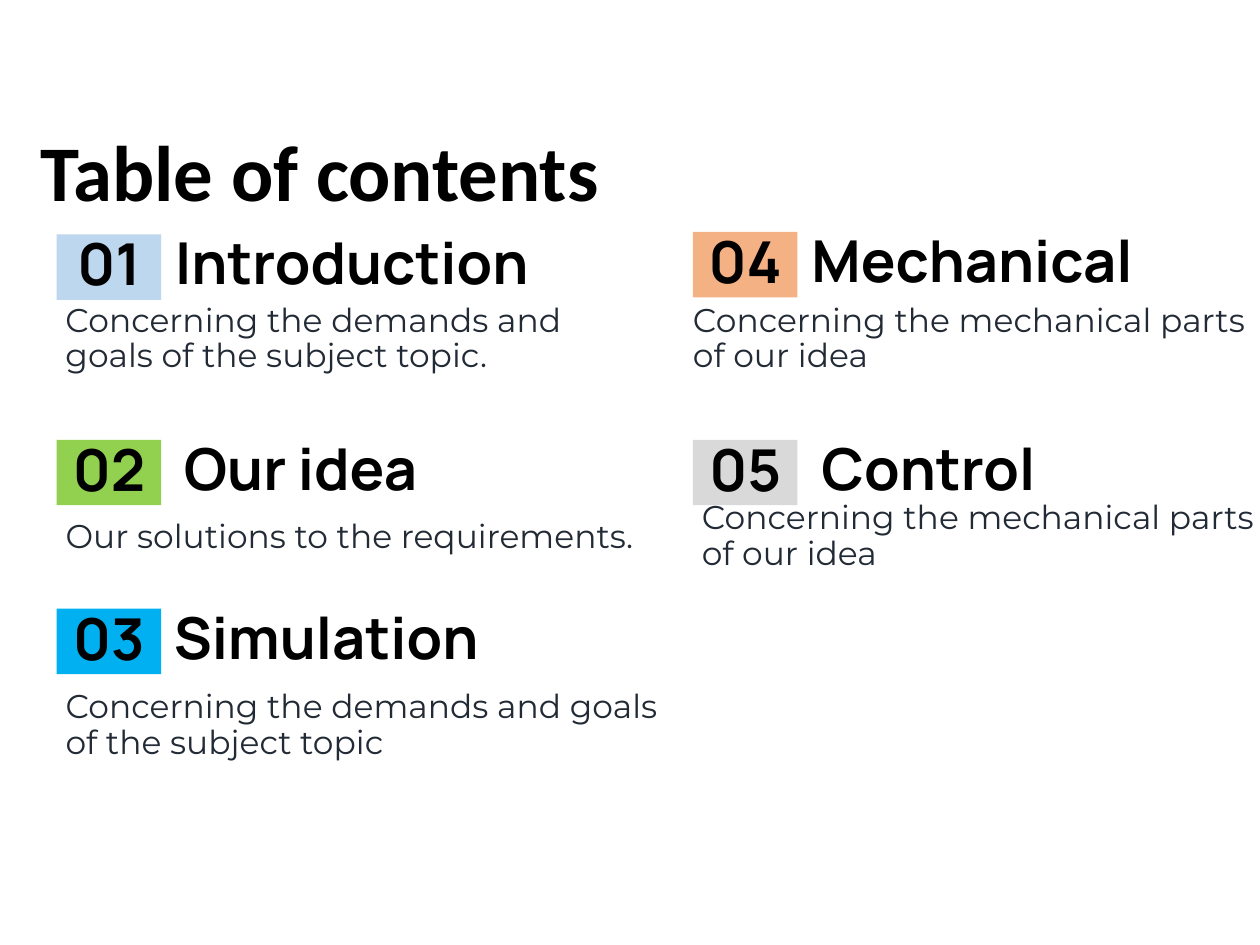
from dataclasses import dataclass

from pptx import Presentation
from pptx.dml.color import RGBColor
from pptx.enum.shapes import MSO_SHAPE
from pptx.enum.text import MSO_ANCHOR, PP_ALIGN
from pptx.util import Inches, Pt

COLUMNS = (0.45, 5.5)
ROWS = (1.86, 3.49, 4.83)
BADGE_WIDTH, BADGE_HEIGHT = 0.83, 0.52
HEADING_DROP, HEADING_HEIGHT = 0.26, 0.31
INSET = 0.07

TITLE = {"name": "Calibri", "size": Pt(45), "bold": True}
HEADING = {"name": "Manrope", "size": Pt(33), "bold": True}
DETAIL = {"name": "Montserrat", "size": Pt(18.8), "bold": False}


@dataclass
class Section:
    """Position offsets are measured in inches from the number badge."""
    column: int
    row: int
    fill: str
    heading: str
    heading_shift: float
    heading_width: float
    detail: str
    detail_shift: tuple
    detail_size: tuple
    rise: float = 0


SECTIONS = (
    Section(0, 0, "BDD7EE", "Introduction", 0.87, 3.63,
            "Concerning the demands and goals of the subject topic.",
            (0, 0.48), (4.64, 0.57)),
    Section(0, 1, "92D050", "Our idea", 0.94, 2.66,
            "Our solutions to the requirements.",
            (0, 0.57), (5.29, 0.47)),
    Section(0, 2, "00B0F0", "Simulation", 0.86, 3.19,
            "Concerning the demands and goals of the subject topic",
            (0, 0.58), (4.98, 0.69)),
    Section(1, 0, "F4B183", "Mechanical", 0.87, 3.18,
            "Concerning the mechanical parts of our idea",
            (-0.07, 0.5), (4.64, 0.57), rise=0.02),
    Section(1, 1, "D9D9D9", "Control", 0.95, 2.66,
            "Concerning the mechanical parts of our idea",
            (0, 0.42), (4.64, 0.57)),
)


def color(value):
    return RGBColor.from_string(value)


def write(shape, text, style, ink="000000", anchor=MSO_ANCHOR.TOP,
          align=PP_ALIGN.LEFT):
    frame = shape.text_frame
    frame.word_wrap = True
    frame.vertical_anchor = anchor
    for side in ("left", "top", "right", "bottom"):
        setattr(frame, f"margin_{side}", Inches(INSET))
    paragraph = frame.paragraphs[0]
    paragraph.alignment = align
    paragraph.line_spacing = 0.9
    run = paragraph.add_run()
    run.text = text
    for attribute, value in style.items():
        setattr(run.font, attribute, value)
    run.font.color.rgb = color(ink)


def add_text(slide, box, text, style, **options):
    write(slide.shapes.add_textbox(*map(Inches, box)), text, style, **options)


def add_badge(slide, left, top, number, fill):
    badge = slide.shapes.add_shape(
        MSO_SHAPE.RECTANGLE,
        *map(Inches, (left, top, BADGE_WIDTH, BADGE_HEIGHT)))
    badge.shadow.inherit = False
    badge.fill.solid()
    badge.fill.fore_color.rgb = color(fill)
    badge.line.fill.background()
    write(badge, f"{number:02}", HEADING,
          anchor=MSO_ANCHOR.MIDDLE, align=PP_ALIGN.CENTER)


def add_section(slide, number, section):
    left, top = COLUMNS[section.column], ROWS[section.row] - section.rise
    add_badge(slide, left, top, number, section.fill)
    add_text(slide, (left + section.heading_shift, top + HEADING_DROP,
                     section.heading_width, HEADING_HEIGHT),
             section.heading, HEADING, anchor=MSO_ANCHOR.BOTTOM)
    shift_x, shift_y = section.detail_shift
    add_text(slide, (left + shift_x, top + shift_y, *section.detail_size),
             section.detail, DETAIL, ink="222A35")


def main():
    deck = Presentation()
    deck.slide_width, deck.slide_height = Inches(10), Inches(7.5)
    slide = deck.slides.add_slide(deck.slide_layouts[6])
    add_text(slide, (0.25, 0.99, 6.64, 0.83), "Table of contents", TITLE)
    for number, section in enumerate(SECTIONS, start=1):
        add_section(slide, number, section)
    deck.save("out.pptx")


if __name__ == "__main__":
    main()
